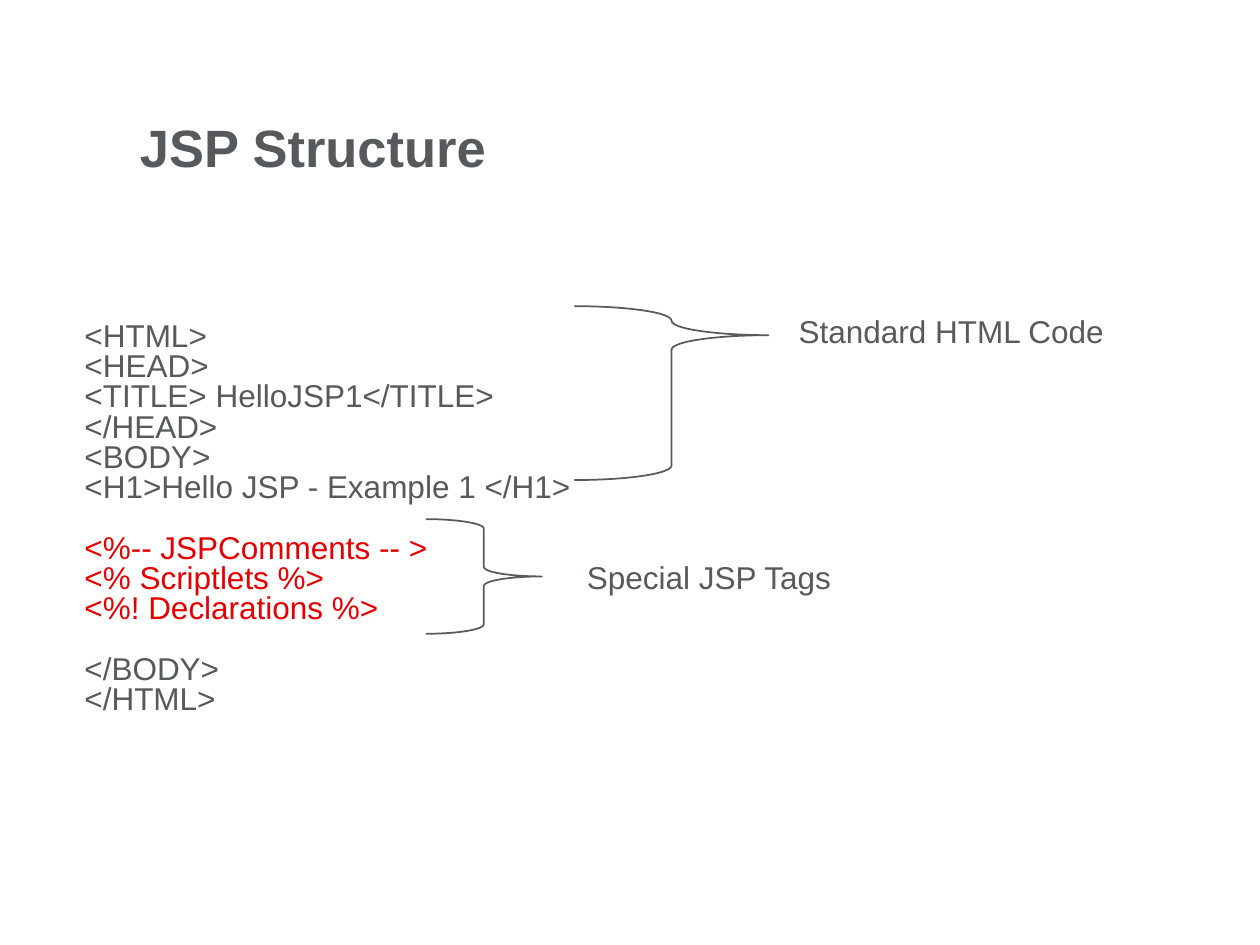
"""Build the JSP Structure slide."""
from pptx import Presentation
from pptx.dml.color import RGBColor
from pptx.enum.shapes import MSO_SHAPE
from pptx.enum.text import MSO_ANCHOR, PP_ALIGN
from pptx.util import Inches, Pt

GRAY = "565A5C"
RED = "E60000"


def color(value):
    return RGBColor.from_string(value)


def add_text(box, lines, size=18, text_color=GRAY, bold=False, insets=None, anchor=MSO_ANCHOR.TOP):
    shape = slide.shapes.add_textbox(*map(Inches, box))
    frame = shape.text_frame
    frame.word_wrap = True
    frame.vertical_anchor = anchor
    if insets:
        frame.margin_left, frame.margin_top, frame.margin_right, frame.margin_bottom = map(Inches, insets)
    for index, line in enumerate(lines):
        paragraph = frame.add_paragraph() if index else frame.paragraphs[0]
        run = paragraph.add_run()
        run.text = line
        run.font.name = "Arial"
        run.font.size = Pt(size)
        run.font.bold = bold
        run.font.color.rgb = color(text_color)
    return shape


presentation = Presentation()
presentation.slide_width = Inches(10)
presentation.slide_height = Inches(7.5)
slide = presentation.slides.add_slide(presentation.slide_layouts[6])

title = add_text((1.07, 0.84, 3.22, 0.65), ["JSP Structure"], size=30, bold=True,
                 insets=(0.04, 0, 0, 0), anchor=MSO_ANCHOR.MIDDLE)
title.fill.solid()
title.fill.fore_color.rgb = color("FFFFFF")

html_lines = ["<HTML>", "<HEAD>", "<TITLE> HelloJSP1</TITLE>", "</HEAD>", "<BODY>",
              "<H1>Hello JSP - Example 1 </H1>"]
jsp_lines = ["<%-- JSPComments -- >", "<% Scriptlets %>", "<%! Declarations %>"]
closing_lines = ["</BODY>", "</HTML>"]
code = add_text((0.67, 1.69, 5.42, 4.87), html_lines + jsp_lines + closing_lines,
                insets=(0, 0, 0, 0), anchor=MSO_ANCHOR.MIDDLE)
for paragraph in code.text_frame.paragraphs:
    paragraph.alignment = PP_ALIGN.JUSTIFY
    paragraph.line_spacing = 0.8
    if paragraph.text in (jsp_lines[0], closing_lines[0]):
        paragraph.space_before = Pt(17.25)
    if paragraph.text in jsp_lines:
        paragraph.runs[0].font.color.rgb = color(RED)

annotations = [
    ((4.56, 2.43, 1.54, 1.38), 0.167, (6.24, 2.43, 3.31, 0.5), "Standard HTML Code"),
    ((3.38, 4.12, 0.92, 0.91), 0.5, (4.56, 4.38, 2.75, 0.5), "Special JSP Tags"),
]
for brace_box, tip, label_box, label in annotations:
    brace = slide.shapes.add_shape(MSO_SHAPE.RIGHT_BRACE, *map(Inches, brace_box))
    brace.shadow.inherit = False
    brace.adjustments[0] = 0.083
    brace.adjustments[1] = tip
    brace.fill.background()
    brace.line.color.rgb = color(GRAY)
    brace.line.width = Pt(1)
    add_text(label_box, [label])

presentation.save("out.pptx")
